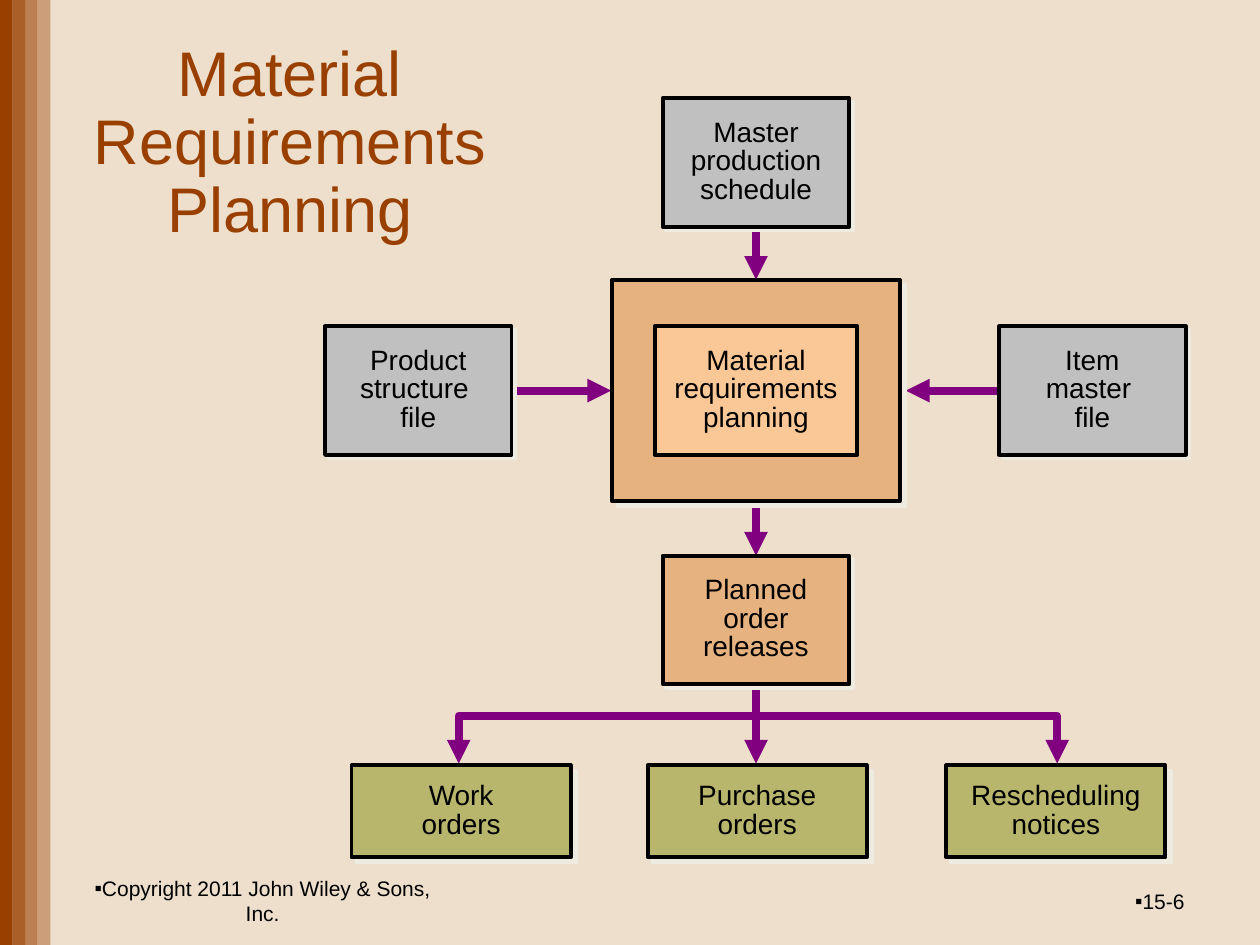
from lxml import etree
from pptx import Presentation
from pptx.dml.color import RGBColor
from pptx.enum.shapes import MSO_CONNECTOR, MSO_SHAPE
from pptx.enum.text import MSO_ANCHOR, PP_ALIGN
from pptx.oxml.ns import qn
from pptx.util import Inches, Pt

RECT = MSO_SHAPE.RECTANGLE
LINE = MSO_CONNECTOR.STRAIGHT
MID = MSO_ANCHOR.MIDDLE
CENTER = PP_ALIGN.CENTER
RIGHT = PP_ALIGN.RIGHT

FONT = "Arial"
HUES = {
    "back": "EEDFCC", "rust": "994000", "ink": "000000", "flow": "800080",
    "shade": "EEECE1", "gray": "C0C0C0", "tan": "E6B380", "peach": "FAC896",
    "olive": "B8B66C",
}


def hue(name):
    return RGBColor.from_string(HUES[name])


def sub(node, tag, **attrs):
    return etree.SubElement(node, qn(tag), attrs)


class Board:
    def __init__(self, deck):
        self.slide = deck.slides.add_slide(deck.slide_layouts[5])
        self.shapes = self.slide.shapes
        fill = self.slide.background.fill
        fill.solid()
        fill.fore_color.rgb = hue("back")

    def words(self, para, text, size, color="ink", align=CENTER):
        para.alignment = align
        run = para.add_run()
        run.text = text
        run.font.name = FONT
        run.font.size = Pt(size)
        run.font.color.rgb = hue(color)

    def title(self, text, *at):
        shape = self.shapes.title
        shape.left, shape.top, shape.width, shape.height = map(Inches, at)
        shape.text_frame.vertical_anchor = MID
        shape.text_frame.word_wrap = True
        para = shape.text_frame.paragraphs[0]
        para.line_spacing = 0.9
        self.words(para, text, 36, "rust")

    def rect(self, color, *at):
        shape = self.shapes.add_shape(RECT, *map(Inches, at))
        shape.shadow.inherit = False
        shape.fill.solid()
        shape.fill.fore_color.rgb = hue(color)
        shape.line.fill.background()
        return shape

    def bar(self, left, alpha):
        shape = self.rect("rust", left, 0, 0.1, 7.5)
        tone = shape._element.spPr.find(qn("a:solidFill"))[0]
        sub(tone, "a:alpha", val=str(alpha * 1000))

    def box(self, color, x, y, wide, high, drop=0):
        """Outlined box centred on x, y with a hard shadow of drop points."""
        shape = self.rect(color, x - wide / 2, y - high / 2, wide, high)
        shape.line.color.rgb = hue("ink")
        shape.line.width = Pt(2.25)
        if drop:
            effects = shape._element.spPr.find(qn("a:effectLst"))
            cast = sub(effects, "a:outerShdw", blurRad="0", dist=str(Pt(drop)),
                       dir="2700000", algn="ctr", rotWithShape="0")
            sub(cast, "a:srgbClr", val=HUES["shade"])

    def label(self, lines, x, y, wide, high, wrap=True):
        text = self.shapes.add_textbox(*map(
            Inches, (x - wide / 2, y - high / 2, wide, high)))
        frame = text.text_frame
        frame.word_wrap = wrap
        for i, line in enumerate(lines):
            para = frame.add_paragraph() if i else frame.paragraphs[0]
            para.line_spacing = 0.85
            self.words(para, line, 16)

    def foot(self, text, align, *at):
        frame = self.shapes.add_textbox(*map(Inches, at)).text_frame
        frame.word_wrap = True
        frame.vertical_anchor = MID
        para = frame.paragraphs[0]
        props = para._p.get_or_add_pPr()
        props.set("marL", "0")
        props.set("indent", "0")
        sub(props, "a:buFont", typeface=FONT)
        sub(props, "a:buChar", char="▪")
        self.words(para, text, 12, align=align)

    def tips(self, shape, *ends):
        shape.line.color.rgb = hue("flow")
        shape.line.width = Pt(4.5)
        for end in ends:
            sub(shape.line._get_or_add_ln(), end, type="triangle")

    def arrow(self, *ends):
        shape = self.shapes.add_connector(LINE, *map(Inches, ends))
        self.tips(shape, "a:tailEnd")
        sub(shape._element.spPr, "a:effectLst")

    def fork(self, *spots):
        spots = [tuple(map(Inches, spot)) for spot in spots]
        build = self.shapes.build_freeform(*spots[0])
        build.add_line_segments(spots[1:], close=False)
        shape = build.convert_to_shape()
        shape.shadow.inherit = False
        shape.fill.background()
        self.tips(shape, "a:headEnd", "a:tailEnd")


def main():
    deck = Presentation()
    deck.slide_width, deck.slide_height = Inches(10), Inches(7.5)
    board = Board(deck)

    # Side stripes, title and footer
    for i, alpha in enumerate((100, 80, 60, 40)):
        board.bar(i * 0.1, alpha)
    board.title("Material Requirements Planning", 0.5, 0.18, 3.6, 1.93)
    board.foot("Copyright 2011 John Wiley & Sons, Inc.", CENTER,
               0.5, 6.95, 3.17, 0.4)
    board.foot("15-6", RIGHT, 7.17, 6.95, 2.33, 0.4)

    # Flow arrows, behind the boxes
    mid, row = 6, 3.1
    for top, end in ((1.65, 2.22), (3.75, 4.41), (5.38, 6.06)):
        board.arrow(mid, top, mid, end)
    board.arrow(3.95, row, 4.85, row)
    board.arrow(8.43, row, 7.19, row)
    board.fork((3.64, 6.06), (3.64, 5.68), (8.39, 5.68), (8.39, 6.06))

    # Planning core
    board.box("tan", mid, row, 2.28, 1.76, 4.2)
    board.box("peach", mid, row, 1.61, 1.02)
    board.label(["Material", "requirements", "planning"],
                mid, row, 1.76, 0.78)

    # Inputs and planned releases
    for color, lines, x, y, wide in (
        ("gray", ["Master production schedule"], mid, 1.29, 1.59),
        ("gray", ["Product", "structure ", "file"], 3.32, row, 1.14),
        ("gray", ["Item", "master ", "file"], 8.67, row, 0.95),
        ("tan", ["Planned order releases"], mid, 4.92, 1.23),
    ):
        board.box(color, x, y, 1.48, 1.02, 2.8)
        board.label(lines, x, y, wide, 0.78, wrap=len(lines) == 1)

    # Outputs
    for text, x, wide in (
        ("Work orders", 3.66, 1.16),
        ("Purchase orders", 6.01, 1.4),
        ("Rescheduling notices", 8.38, 1.8),
    ):
        board.box("olive", x, 6.44, 1.74, 0.73, 4.2)
        board.label([text], x, 6.44, wide, 0.55)

    deck.save("out.pptx")


if __name__ == "__main__":
    main()
